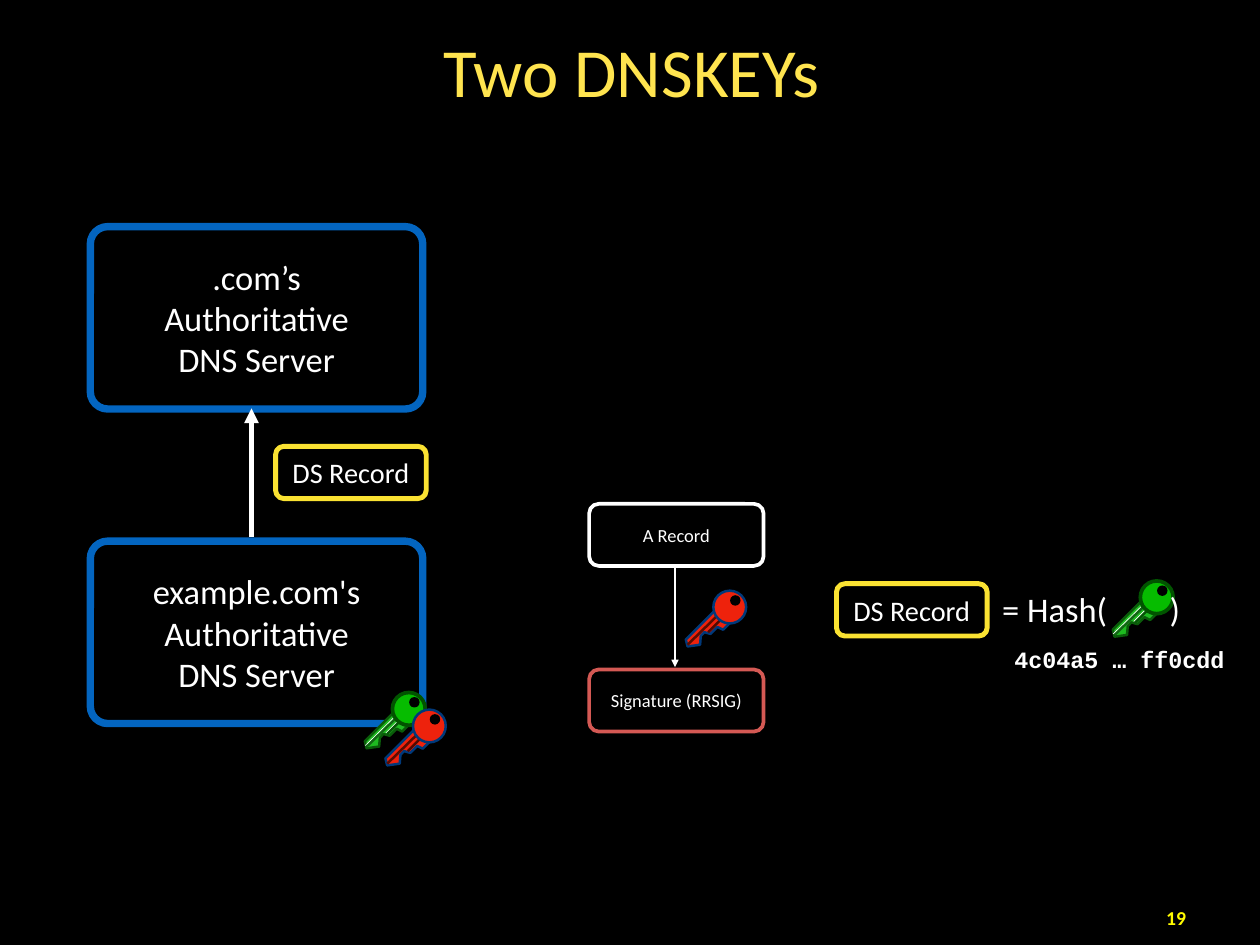
from pptx import Presentation
from pptx import util as u
from pptx.dml.color import RGBColor
from pptx.enum import shapes, text
from pptx.oxml.ns import qn
from lxml import etree

THEME = {
    "black": "000000", "white": "FFFFFF", "title": "FFE44F", "number": "FFFB00",
    "server": "0365C0", "ds": "FAE232", "signature": "D45954",
    "font": "Calibri", "code font": "Courier New",
    "title size": 56, "body size": 28, "ds size": 23,
    "code size": 19, "number size": 16, "record size": 15,
}
KEY_STYLES = {
    "green": {"blade": "1EBB20", "edge": "0A5C0A", "grooves": ("126514", "075308"),
              "glint": "FFFFFF", "head": "06BC00", "rim": "015400", "rim width": 3},
    "red": {"blade": "EE220C", "edge": "00397A", "grooves": ("5C0C01", "510901"),
            "glint": None, "head": "EE220C", "rim": "00397A", "rim width": 2},
}

BOX_STYLES = {
    "server": {"size": (9.53, 5.23), "corner": 0.095, "width": 6, "type": "body size"},
    "ds": {"size": (4.32, 1.5), "corner": 0.16, "width": 4, "type": "ds size"},
    "record": {"size": (5, 1.78), "corner": 0.155, "width": 3, "type": "record size"},
}
BOXES = [
    ("server", 2.59, 6.5, "server", [".com’s", "Authoritative", "DNS Server"]),
    ("server", 2.59, 15.52, "server", ["example.com's", "Authoritative", "DNS Server"]),
    ("ds", 7.9, 12.8, "ds", ["DS Record"]),
    ("ds", 23.98, 16.74, "ds", ["DS Record"]),
    ("record", 16.89, 14.45, "white", ["A Record"]),
    ("record", 16.89, 19.2, "signature", ["Signature (RRSIG)"]),
]
ARROWS = [((7.21, 15.39), (7.21, 11.71), 4), ((19.35, 16.28), (19.35, 19.13), 2)]
KEYS = [("green", 10.46, 19.86), ("red", 11.05, 20.35),
        ("red", 19.66, 16.94), ("green", 31.9, 16.66)]

BLADE = [(0.84, 0.56), (0, 1.4), (0.05, 1.6), (0.41, 1.55), (0.43, 1.3),
         (0.53, 1.19), (0.71, 1.24), (0.91, 1.04), (1.07, 1.12), (1.3, 0.89)]
GROOVES = [((0.05, 1.55), (0.91, 0.71)), ((0.64, 1.19), (1.02, 0.81))]
GLINT_SHIFT = (-0.04, -0.03)
HASH_TAB = 4.8

presentation = Presentation()
presentation.slide_width, presentation.slide_height = u.Cm(36.12), u.Cm(27.1)
slide = presentation.slides.add_slide(presentation.slide_layouts[6])


def colour(name):
    return RGBColor.from_string(THEME.get(name, name))


def paint(shape, fill=None, line=None, width=1):
    shape.shadow.inherit = False
    if fill:
        shape.fill.solid()
        shape.fill.fore_color.rgb = colour(fill)
    else:
        shape.fill.background()
    if line:
        shape.line.color.rgb = colour(line)
        shape.line.width = u.Pt(width)
    else:
        shape.line.fill.background()


def write(shape, lines, size="body size", color="white", font="font", bold=False,
          align="CENTER", anchor="MIDDLE", inset=0.15, wrap=True, tab=None):
    frame = shape.text_frame
    frame.word_wrap = wrap
    frame.vertical_anchor = text.MSO_ANCHOR[anchor]
    frame.margin_left = frame.margin_right = u.Cm(inset)
    frame.margin_top = frame.margin_bottom = u.Cm(inset)
    for index, line in enumerate(lines):
        paragraph = frame.add_paragraph() if index else frame.paragraphs[0]
        paragraph.alignment = text.PP_ALIGN[align]
        if tab:
            stops = etree.SubElement(paragraph._p.get_or_add_pPr(), qn("a:tabLst"))
            etree.SubElement(stops, qn("a:tab"), pos=str(u.Cm(tab)), algn="l")
        run = paragraph.add_run()
        run.text = line
        run.font.name = THEME[font]
        run.font.size = u.Pt(THEME[size])
        run.font.bold = bold
        run.font.color.rgb = colour(color)


def add_text(left, top, width, height, lines, **style):
    box = slide.shapes.add_textbox(u.Cm(left), u.Cm(top), u.Cm(width), u.Cm(height))
    write(box, lines, **style)


def add_box(kind, left, top, line, lines):
    style = BOX_STYLES[kind]
    width, height = style["size"]
    box = slide.shapes.add_shape(shapes.MSO_SHAPE.ROUNDED_RECTANGLE,
                                 u.Cm(left), u.Cm(top), u.Cm(width), u.Cm(height))
    box.adjustments[0] = style["corner"]
    paint(box, "black", line, style["width"])
    write(box, lines, size=style["type"])


def add_line(start, end, color, width, arrow=False):
    points = [u.Cm(value) for value in (*start, *end)]
    line = slide.shapes.add_connector(shapes.MSO_CONNECTOR.STRAIGHT, *points)
    line.line.color.rgb = colour(color)
    line.line.width = u.Pt(width)
    if arrow:
        etree.SubElement(line.line._get_or_add_ln(), qn("a:tailEnd"), type="triangle")
    etree.SubElement(line._element.spPr, qn("a:effectLst"))


def add_circle(left, top, size, **style):
    circle = slide.shapes.add_shape(shapes.MSO_SHAPE.OVAL, u.Cm(left), u.Cm(top),
                                    u.Cm(size), u.Cm(size))
    paint(circle, **style)


def add_key(name, left, top):
    style = KEY_STYLES[name]

    def place(point, shift=(0, 0)):
        return left + point[0] + shift[0], top + point[1] + shift[1]

    outline = [tuple(u.Cm(value) for value in place(point)) for point in BLADE]
    builder = slide.shapes.build_freeform(*outline[0])
    builder.add_line_segments(outline[1:], close=True)
    paint(builder.convert_to_shape(), style["blade"], style["edge"], 2)
    for (start, end), color in zip(GROOVES, style["grooves"]):
        add_line(place(start), place(end), color, 2)
    if style["glint"]:
        for start, end in GROOVES:
            add_line(place(start, GLINT_SHIFT), place(end, GLINT_SHIFT), style["glint"], 0.5)
    add_circle(left + 0.79, top, 0.94, fill=style["head"], line=style["rim"],
               width=style["rim width"])
    add_circle(left + 1.27, top + 0.13, 0.3, fill="black")


def main():
    slide.background.fill.solid()
    slide.background.fill.fore_color.rgb = colour("black")
    add_text(2.24, 0, 31.72, 4.02, ["Two DNSKEYs"], size="title size", color="title", inset=0)
    for box in BOXES:
        add_box(*box)
    for start, end, width in ARROWS:
        add_line(start, end, "white", width, arrow=True)
    for key in KEYS:
        add_key(*key)
    add_text(28.58, 16.76, 6.02, 1.42, ["= Hash(\t)"], align="LEFT", tab=HASH_TAB)
    add_text(28.93, 18.36, 6.35, 1.09, ["4c04a5 … ff0cdd"], size="code size",
             font="code font", bold=True, align="LEFT", wrap=False)
    add_text(33.22, 25.83, 0.99, 0.97, ["19"], size="number size", color="number",
             bold=True, anchor="TOP", wrap=False)
    presentation.save("out.pptx")


if __name__ == "__main__":
    main()
